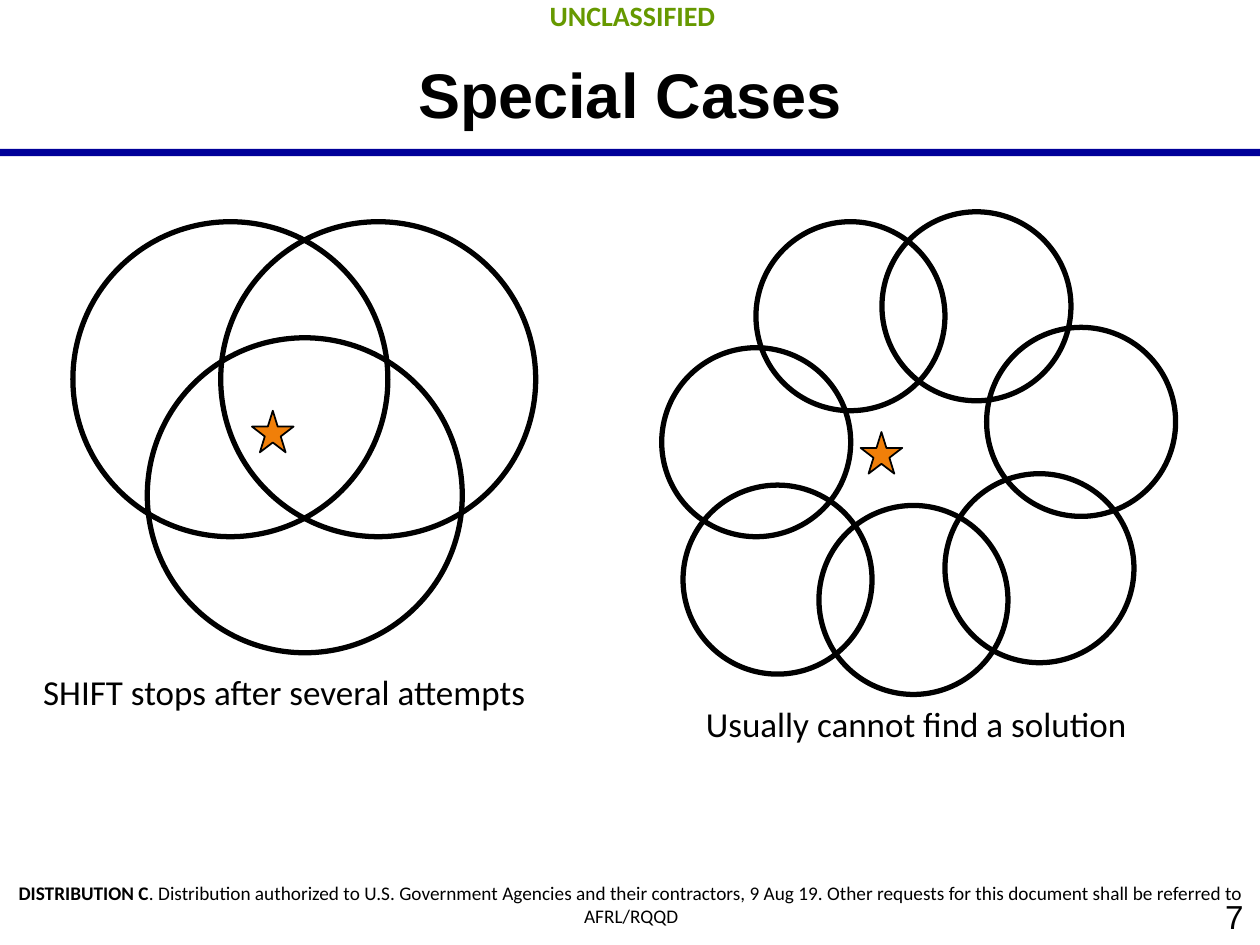
"""Build the Special Cases slide: two overlap diagrams with their captions."""
from dataclasses import dataclass

from pptx import Presentation
from pptx import util as u
from pptx.dml.color import RGBColor
from pptx.enum import shapes, text
from pptx.shapes.autoshape import Shape
from pptx.slide import Slide

Point = tuple[float, float]
Box = tuple[float, float, float, float]


@dataclass(frozen=True)
class Theme:
    ink: str = "000000"
    rule: str = "000099"
    marking: str = "669900"
    star: str = "F07F09"
    heading_font: str = "Arial"
    body_font: str = "Calibri"
    title_size: float = 36
    caption_size: float = 20
    number_size: float = 19
    marking_size: float = 16
    notice_size: float = 11
    ring_line: float = 3
    star_line: float = 1


THEME = Theme()


@dataclass(frozen=True)
class Label:
    wording: str
    box: Box
    size: float
    font: str = THEME.body_font
    color: str = THEME.ink
    bold: bool = False
    lead: str = ""
    align: text.PP_ALIGN = text.PP_ALIGN.CENTER
    anchor: text.MSO_ANCHOR = text.MSO_ANCHOR.TOP
    inset: Point = (0.33, 0.18)
    hanging: float = 0
    line_spacing: float = 1.0


@dataclass(frozen=True)
class Case:
    diameter: float
    rings: tuple[Point, ...]
    star: Point
    caption: str
    caption_box: Box


SLIDE_WIDTH, SLIDE_HEIGHT = 25.4, 19.05
STAR_SIZE = 0.84
RULE_HEIGHT = 0.13
RULE_TOPS = (3.02, 3.0)

CASES = (
    Case(
        6.35,
        ((1.47, 4.47), (4.45, 4.47), (2.97, 6.81)),
        (5.08, 8.28),
        "SHIFT stops after several attempts",
        (0.84, 13.59, 12.07, 1.24),
    ),
    Case(
        3.81,
        ((15.24, 4.47), (17.78, 4.27), (13.34, 7.01), (13.77, 9.78),
         (19.89, 6.6), (19.05, 9.55), (16.51, 10.19)),
        (17.35, 8.71),
        "Usually cannot find a solution",
        (14.2, 14.22, 10.36, 1.24),
    ),
)

LABELS = (
    Label("7", (20.32, 17.91, 5.08, 1.14), THEME.number_size, THEME.heading_font,
          align=text.PP_ALIGN.RIGHT, anchor=text.MSO_ANCHOR.MIDDLE),
    Label("UNCLASSIFIED", (0.05, -0.2, SLIDE_WIDTH, 1.02), THEME.marking_size,
          color=THEME.marking, bold=True),
    Label(". Distribution authorized to U.S. Government Agencies and their contractors, "
          "9 Aug 19. Other requests for this document shall be referred to AFRL/RQQD",
          (0, 17.58, 25.45, 1.27), THEME.notice_size, lead="DISTRIBUTION C"),
    Label("Special Cases", (1.27, 0.86, 22.86, 1.5), THEME.title_size,
          THEME.heading_font, bold=True, inset=(0.25, 0.25)),
)


def add_figure(slide: Slide, kind: shapes.MSO_SHAPE, box: Box,
               fill: str | None = None, line: float = 0) -> Shape:
    """Add a preset shape with an optional fill and outline."""
    figure = slide.shapes.add_shape(kind, *map(u.Cm, box))
    figure.shadow.inherit = False
    if fill:
        figure.fill.solid()
        figure.fill.fore_color.rgb = RGBColor.from_string(fill)
    else:
        figure.fill.background()
    if line:
        figure.line.color.rgb = RGBColor.from_string(THEME.ink)
        figure.line.width = u.Pt(line)
    else:
        figure.line.fill.background()
    return figure


def add_label(slide: Slide, label: Label) -> None:
    """Add a one-paragraph text box, with a bold lead if there is one."""
    frame = slide.shapes.add_textbox(*map(u.Cm, label.box)).text_frame
    frame.word_wrap = True
    frame.vertical_anchor = label.anchor
    frame.margin_left = frame.margin_right = u.Cm(label.inset[0])
    frame.margin_top = frame.margin_bottom = u.Cm(label.inset[1])
    paragraph = frame.paragraphs[0]
    paragraph.alignment = label.align
    paragraph.line_spacing = label.line_spacing
    if label.hanging:
        properties = paragraph._p.get_or_add_pPr()
        properties.set("marL", str(u.Cm(label.hanging)))
        properties.set("indent", str(-u.Cm(label.hanging)))
    if label.lead:
        lead = paragraph.add_run()
        lead.text = label.lead
        lead.font.bold = True
    paragraph.add_run().text = label.wording
    paragraph.font.name = label.font
    paragraph.font.size = u.Pt(label.size)
    paragraph.font.bold = label.bold
    paragraph.font.color.rgb = RGBColor.from_string(label.color)


def add_case(slide: Slide, case: Case) -> None:
    """Draw the rings, the star and the caption of one case."""
    for ring in case.rings:
        add_figure(slide, shapes.MSO_SHAPE.OVAL, (*ring, case.diameter, case.diameter),
                   line=THEME.ring_line)
    add_figure(slide, shapes.MSO_SHAPE.STAR_5_POINT, (*case.star, STAR_SIZE, STAR_SIZE),
               THEME.star, THEME.star_line)
    add_label(slide, Label(case.caption, case.caption_box, THEME.caption_size,
                           align=text.PP_ALIGN.LEFT, inset=(0.03, 0.03),
                           hanging=0.48, line_spacing=0.9))


def main() -> None:
    """Build and save the slide."""
    deck = Presentation()
    deck.slide_width, deck.slide_height = u.Cm(SLIDE_WIDTH), u.Cm(SLIDE_HEIGHT)
    slide = deck.slides.add_slide(deck.slide_layouts[6])
    for top in RULE_TOPS:
        add_figure(slide, shapes.MSO_SHAPE.RECTANGLE, (0, top, SLIDE_WIDTH, RULE_HEIGHT),
                   THEME.rule)
    for label in LABELS:
        add_label(slide, label)
    for case in CASES:
        add_case(slide, case)
    deck.save("out.pptx")


if __name__ == "__main__":
    main()
